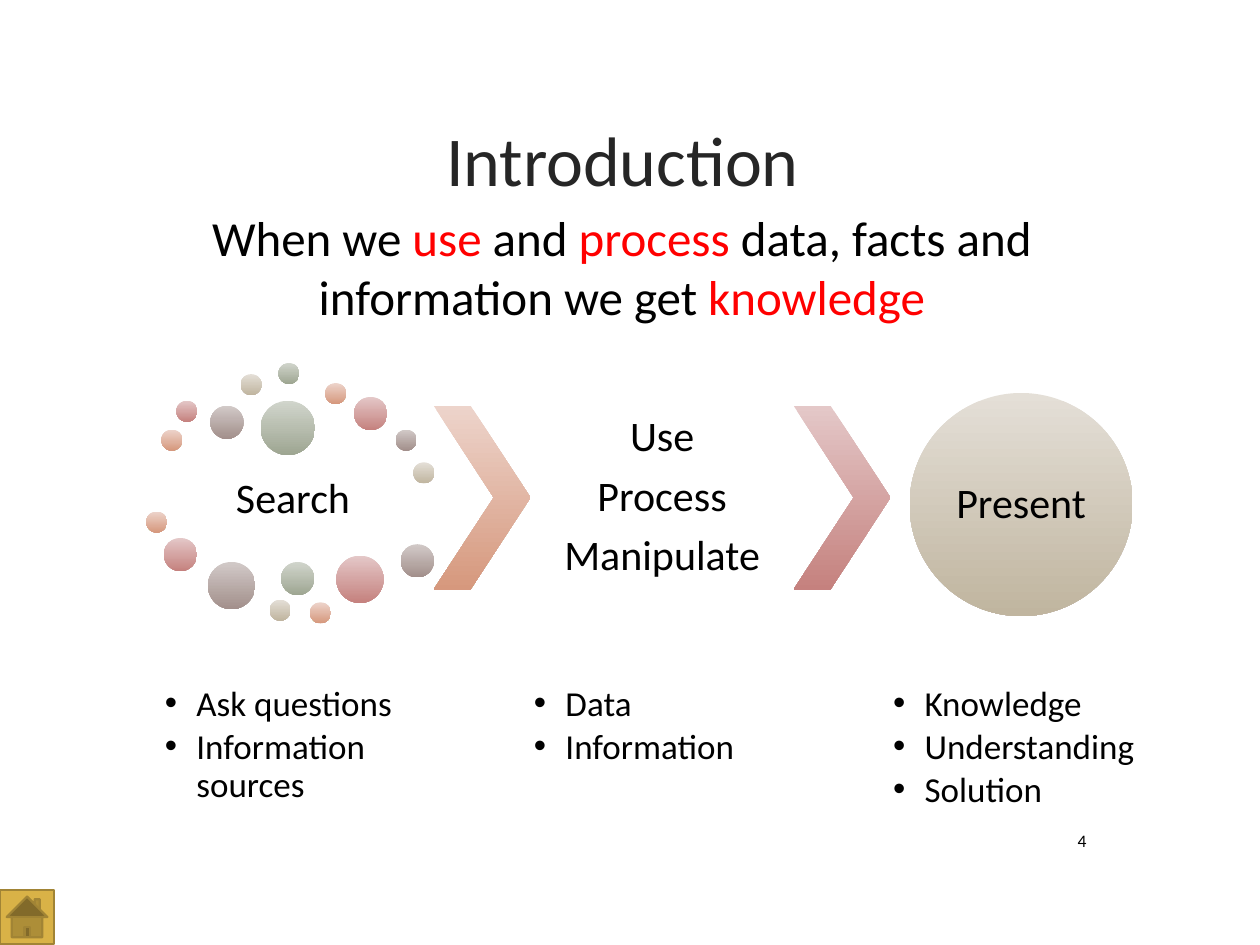
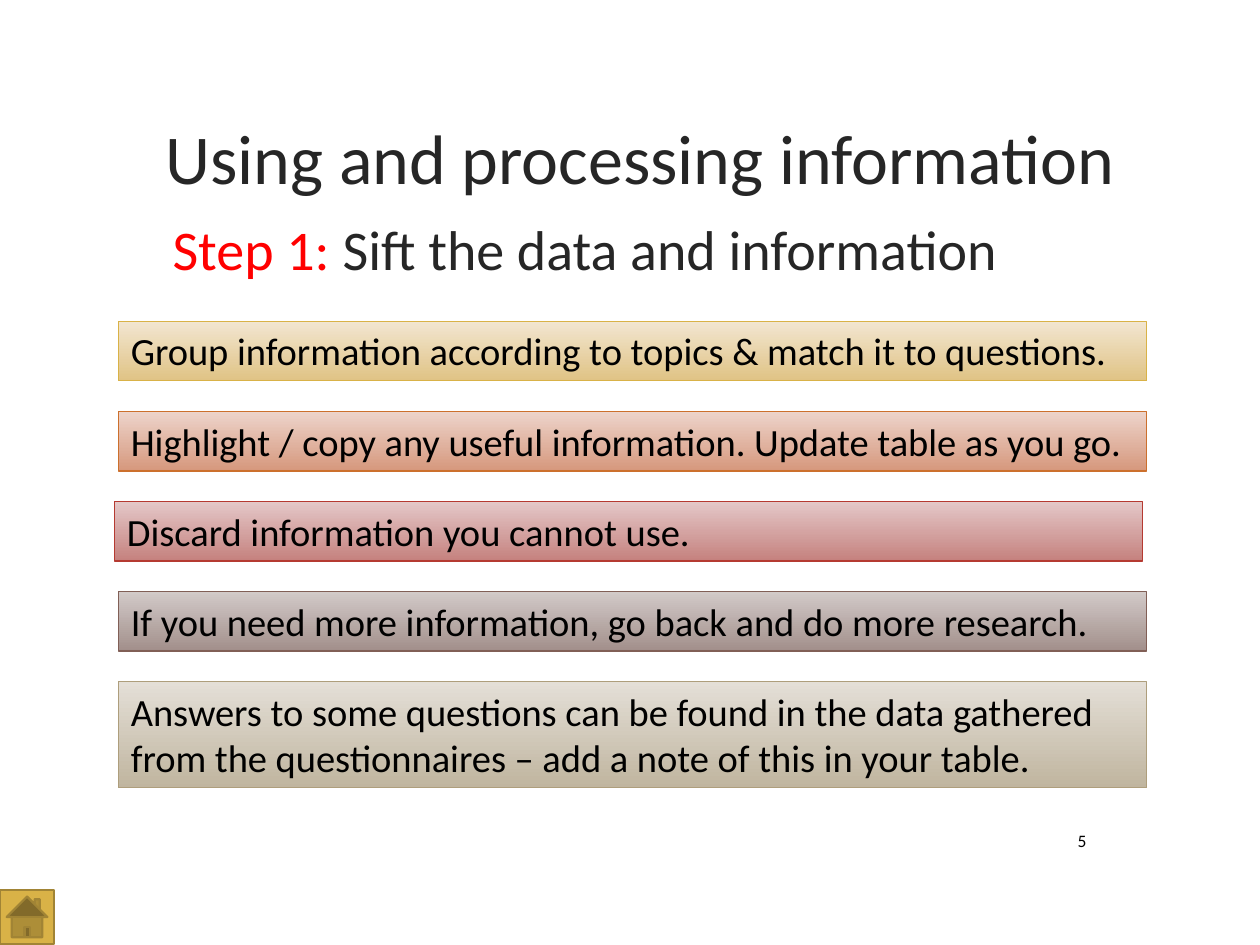
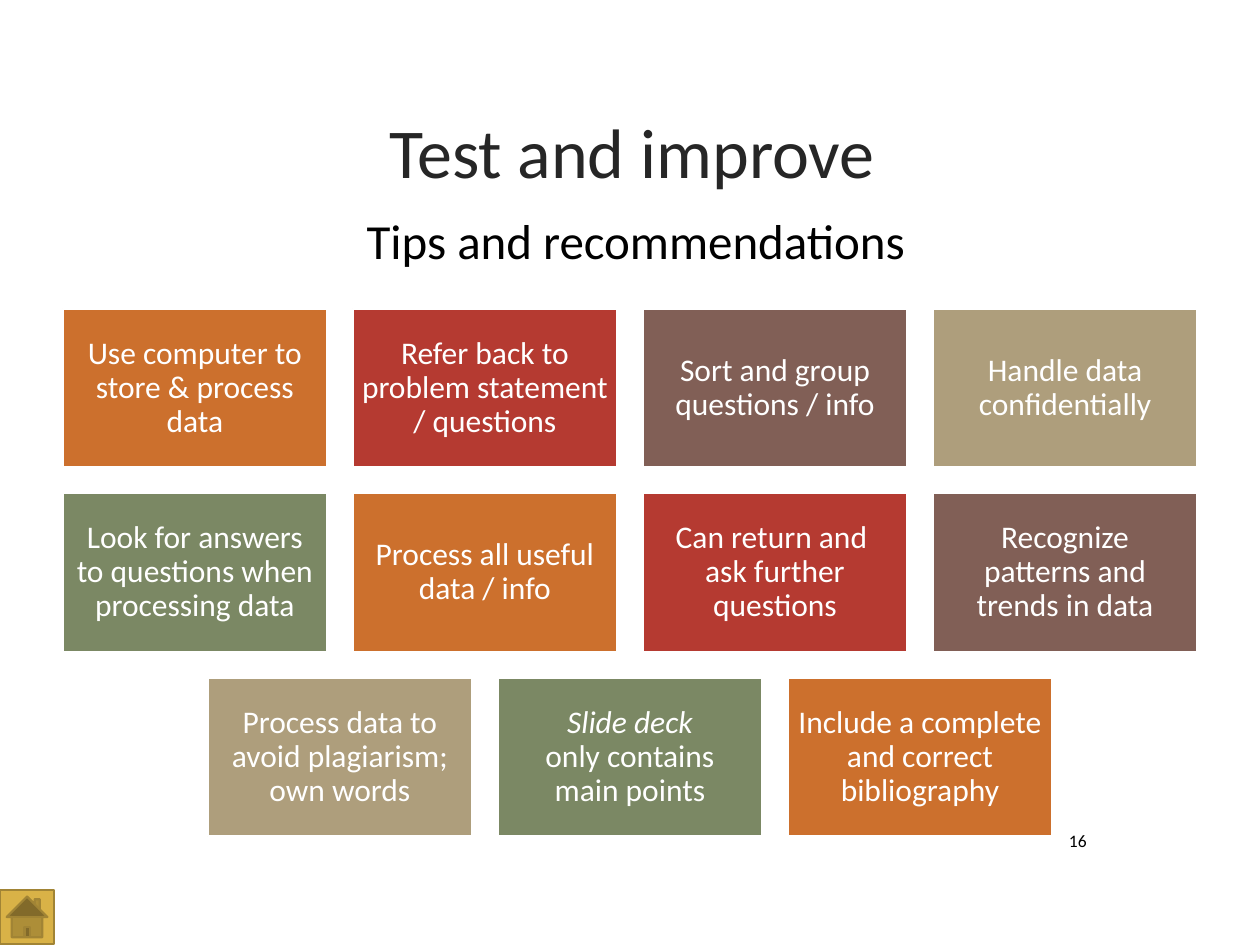
"""Build three slides on turning information into knowledge."""
from dataclasses import dataclass
from itertools import cycle
from typing import NamedTuple, Optional

import lxml.etree
import pptx
import pptx.dml.color
import pptx.enum.shapes
import pptx.enum.text
import pptx.oxml.ns
import pptx.util
from pptx.shapes.autoshape import Shape
from pptx.slide import Slide
from pptx.text.text import TextFrame, _Paragraph

Pt = pptx.util.Pt
Kind = pptx.enum.shapes.MSO_SHAPE
Align = pptx.enum.text.PP_ALIGN
Anchor = pptx.enum.text.MSO_ANCHOR


class Accent(NamedTuple):
    base: str
    light: str
    deep: str


class Box(NamedTuple):
    left: float
    top: float
    width: float
    height: float


class Span(NamedTuple):
    text: str
    color: Optional[str] = None
    italic: bool = False


class Dot(NamedTuple):
    left: float
    top: float
    size: float


class Column(NamedTuple):
    placeholder: int
    left: float
    points: list[str]


class Bar(NamedTuple):
    text: str
    accent: Accent
    shift: float = 0
    height: float = 34
    anchor: Anchor = Anchor.TOP


@dataclass(frozen=True)
class Theme:
    font: str = "Calibri"
    ink: str = "000000"
    heading: str = "262626"
    emphasis: str = "FF0000"
    paper: str = "FFFFFF"
    button_edge: str = "A18435"
    gold: Accent = Accent("D9B247", "F2E6D1", "E0C385")
    orange: Accent = Accent("CC702D", "EDD4CB", "D6987D")
    red: Accent = Accent("B53A31", "E4C8C8", "C5817E")
    brown: Accent = Accent("815F56", "D2CAC8", "A28F8B")
    tan: Accent = Accent("AE9E7C", "E4DFD7", "C0B59F")
    green: Accent = Accent("7B8864", "D1D5CC", "9EA692")
    title_size: float = 40
    step_size: float = 32
    subtitle_size: float = 28
    stage_size: float = 24
    bar_size: float = 22
    list_size: float = 20
    card_size: float = 18
    number_size: float = 10


THEME = Theme()
ROTATION = (THEME.orange, THEME.red, THEME.brown, THEME.tan, THEME.green)


@dataclass(frozen=True)
class Style:
    size: float
    color: str = THEME.ink
    align: Align = Align.CENTER
    anchor: Anchor = Anchor.MIDDLE
    line_spacing: float = 1.0
    space_after: float = 0
    insets: tuple[float, float, float, float] = (7.2, 3.6, 7.2, 3.6)
    bulleted: bool = False


TITLE = Style(THEME.title_size, THEME.heading)
STEP = Style(THEME.step_size, THEME.heading, Align.LEFT)
SUBTITLE = Style(THEME.subtitle_size, anchor=Anchor.TOP)
STAGE = Style(THEME.stage_size, line_spacing=0.9, space_after=8, insets=(2, 2, 2, 2))
POINTS = Style(THEME.list_size, align=Align.LEFT, anchor=Anchor.TOP, line_spacing=0.9,
               space_after=3, insets=(2, 27, 2, 2), bulleted=True)
CARD = Style(THEME.card_size, THEME.paper, line_spacing=0.9, insets=(5, 5, 5, 5))
NUMBER = Style(THEME.number_size, align=Align.RIGHT)

DOTS = [
    Dot(92.2, 245.5, 12), Dot(100.8, 229, 12), Dot(120.2, 231.8, 19),
    Dot(137.5, 213.8, 12), Dot(159.1, 207.4, 12), Dot(185.8, 218.9, 12),
    Dot(202.3, 226.8, 19), Dot(226.1, 245.5, 12), Dot(236.2, 264.2, 12),
    Dot(149, 229, 31), Dot(83.5, 292.3, 12), Dot(93.6, 307.4, 19),
    Dot(118.8, 321.1, 27), Dot(154.1, 342.7, 12), Dot(160.6, 321.1, 19),
    Dot(177.1, 344.2, 12), Dot(192.2, 317.5, 27), Dot(229, 311, 19),
]
COLUMNS = [
    Column(2, 92.2, ["Ask questions", "Information sources"]),
    Column(4, 303.1, ["Data", "Information"]),
    Column(1, 508.3, ["Knowledge", "Understanding", "Solution"]),
]
BARS = [
    Bar("Group information according to topics & match it to questions.", THEME.gold),
    Bar("Highlight / copy any useful information. Update table as you go.", THEME.orange),
    Bar("Discard information you cannot use.", THEME.red, shift=-2.2, anchor=Anchor.MIDDLE),
    Bar("If you need more information, go back and do more research.", THEME.brown),
    Bar("Answers to some questions can be found in the data gathered from the "
        "questionnaires – add a note of this in your table.", THEME.tan, height=60.5),
]
TIP_ROWS = [
    [[Span("Use computer to store & process data")],
     [Span("Refer back to problem statement / questions")],
     [Span("Sort and group questions / info")],
     [Span("Handle data confidentially")]],
    [[Span("Look for answers to questions when processing data")],
     [Span("Process all useful data / info")],
     [Span("Can return and \nask further questions")],
     [Span("Recognize\npatterns and trends in data")]],
    [[Span("Process data to avoid plagiarism; own words")],
     [Span("Slide deck\n", italic=True), Span("only contains\nmain points")],
     [Span("Include a complete and correct bibliography")]],
]


def rgb(value: str) -> pptx.dml.color.RGBColor:
    """Turn a hex string into a colour."""
    return pptx.dml.color.RGBColor.from_string(value)


def add_bullet(paragraph: _Paragraph) -> None:
    """Give a paragraph a hanging round bullet."""
    properties = paragraph._p.get_or_add_pPr()
    properties.set("marL", str(Pt(18)))
    properties.set("indent", str(-Pt(18)))
    qn = pptx.oxml.ns.qn
    lxml.etree.SubElement(properties, qn("a:buFont"), typeface="Arial")
    lxml.etree.SubElement(properties, qn("a:buChar"), char="•")


def add_span(paragraph: _Paragraph, span: Span, style: Style) -> None:
    """Add a span's runs, with a line break at each newline."""
    for index, line in enumerate(span.text.split("\n")):
        if index:
            paragraph.add_line_break()
        if line:
            run = paragraph.add_run()
            run.text = line
            run.font.name = THEME.font
            run.font.size = Pt(style.size)
            run.font.bold = False
            run.font.italic = span.italic
            run.font.color.rgb = rgb(span.color or style.color)


def write(frame: TextFrame, paragraphs: list[list[Span]], style: Style) -> None:
    """Fill a text frame with styled paragraphs."""
    frame.word_wrap = True
    frame.auto_size = pptx.enum.text.MSO_AUTO_SIZE.NONE
    frame.vertical_anchor = style.anchor
    (frame.margin_left, frame.margin_top,
     frame.margin_right, frame.margin_bottom) = map(Pt, style.insets)
    for index, spans in enumerate(paragraphs):
        paragraph = frame.add_paragraph() if index else frame.paragraphs[0]
        if style.bulleted:
            add_bullet(paragraph)
        paragraph.alignment = style.align
        paragraph.line_spacing = style.line_spacing
        paragraph.space_before = Pt(0)
        paragraph.space_after = Pt(style.space_after)
        for span in spans:
            add_span(paragraph, span, style)


def fill_placeholder(slide: Slide, index: int, box: Box,
                     paragraphs: list[list[Span]], style: Style) -> None:
    """Move a placeholder and write into it."""
    holder = slide.placeholders[index]
    holder.left, holder.top, holder.width, holder.height = map(Pt, box)
    write(holder.text_frame, paragraphs, style)


def add_text(slide: Slide, box: Box, paragraphs: list[list[Span]], style: Style) -> None:
    """Add a text box."""
    write(slide.shapes.add_textbox(*map(Pt, box)).text_frame, paragraphs, style)


def add_figure(slide: Slide, kind: Kind, box: Box, fill: str | Accent,
               edge: Optional[str] = None, weight: float = 1.25) -> Shape:
    """Add a preset shape with a flat fill or an accent's vertical gradient."""
    figure = slide.shapes.add_shape(kind, *map(Pt, box))
    figure.shadow.inherit = False
    if isinstance(fill, Accent):
        figure.fill.gradient()
        figure.fill.gradient_angle = 270
        for stop, color in zip(figure.fill.gradient_stops, (fill.light, fill.deep)):
            stop.color.rgb = rgb(color)
    else:
        figure.fill.solid()
        figure.fill.fore_color.rgb = rgb(fill)
    if edge:
        figure.line.color.rgb = rgb(edge)
        figure.line.width = Pt(weight)
    else:
        figure.line.fill.background()
    return figure


def add_footer(slide: Slide, number: int) -> None:
    """Add the page number and the home button."""
    add_text(slide, Box(597, 469.5, 31, 22), [[Span(str(number))]], NUMBER)
    add_figure(slide, Kind.ACTION_BUTTON_HOME, Box(0, 508.5, 31, 31),
               THEME.gold.base, THEME.button_edge)


def build_introduction(slide: Slide) -> None:
    """Show the way from searching to presenting."""
    fill_placeholder(slide, 0, Box(88, 39, 535.5, 103), [[Span("Introduction")]], TITLE)
    fill_placeholder(slide, 3, Box(60.5, 115.2, 589.7, 75), [[
        Span("When we "), Span("use", THEME.emphasis), Span(" and "),
        Span("process", THEME.emphasis), Span(" data, facts and information we get "),
        Span("knowledge", THEME.emphasis)]], SUBTITLE)
    for column in COLUMNS:
        fill_placeholder(slide, column.placeholder, Box(column.left, 365, 150.5, 93),
                         [[Span(point)] for point in column.points], POINTS)
    for dot, accent in zip(DOTS, cycle(ROTATION)):
        add_figure(slide, Kind.OVAL, Box(dot.left, dot.top, dot.size, dot.size), accent)
    for left, accent in ((247.8, THEME.orange), (453.5, THEME.red)):
        chevron = add_figure(slide, Kind.CHEVRON, Box(left, 231.8, 55.4, 105.1), accent)
        chevron.adjustments[0] = 0.62
    add_text(slide, Box(92.2, 260.6, 150.5, 49.7), [[Span("Search")]], STAGE)
    add_text(slide, Box(303.1, 231.8, 150.5, 105.1),
             [[Span(verb)] for verb in ("Use", "Process", "Manipulate")], STAGE)
    result = add_figure(slide, Kind.OVAL, Box(519.8, 224.6, 127.5, 127.5), THEME.tan)
    write(result.text_frame, [[Span("Present")]], STAGE)


def build_sifting(slide: Slide) -> None:
    """List what to do when sifting information."""
    fill_placeholder(slide, 0, Box(91.4, 115.2, 535.5, 53.3), [[
        Span("Step 1:", THEME.emphasis), Span(" Sift the data and information")]], STEP)
    add_text(slide, Box(67.7, 38.2, 596, 103),
             [[Span("Using and processing information")]], TITLE)
    for row, bar in enumerate(BARS):
        box = Box(67.7 + bar.shift, 183.6 + row * 51.5, 587.5, bar.height)
        figure = add_figure(slide, Kind.RECTANGLE, box, bar.accent, bar.accent.base, 0.75)
        write(figure.text_frame, [[Span(bar.text)]],
              Style(THEME.bar_size, align=Align.LEFT, anchor=bar.anchor))


def build_tips(slide: Slide) -> None:
    """Lay the tips out as rows of centred cards."""
    fill_placeholder(slide, 0, Box(98, 54.7, 535.5, 62.6),
                     [[Span("Test and improve ")]], TITLE)
    add_text(slide, Box(42.5, 116.6, 641.5, 41),
             [[Span("Tips and recommendations")]], SUBTITLE)
    width, height, gap = 150.75, 90.5, 15
    accents = cycle(ROTATION)
    for row, tips in enumerate(TIP_ROWS):
        start = (720 - len(tips) * width - (len(tips) - 1) * gap) / 2
        for place, tip in enumerate(tips):
            box = Box(start + place * (width + gap), 176.4 + row * (height + gap), width, height)
            card = add_figure(slide, Kind.RECTANGLE, box, next(accents).base, THEME.paper)
            write(card.text_frame, [tip], CARD)


def main() -> None:
    """Build and save the presentation."""
    deck = pptx.Presentation()
    deck.slide_width, deck.slide_height = Pt(720), Pt(540)
    comparison, title_only = deck.slide_layouts[4], deck.slide_layouts[5]
    for build, layout, number in ((build_introduction, comparison, 4),
                                  (build_sifting, title_only, 5),
                                  (build_tips, title_only, 16)):
        slide = deck.slides.add_slide(layout)
        build(slide)
        add_footer(slide, number)
    deck.save("out.pptx")


if __name__ == "__main__":
    main()
